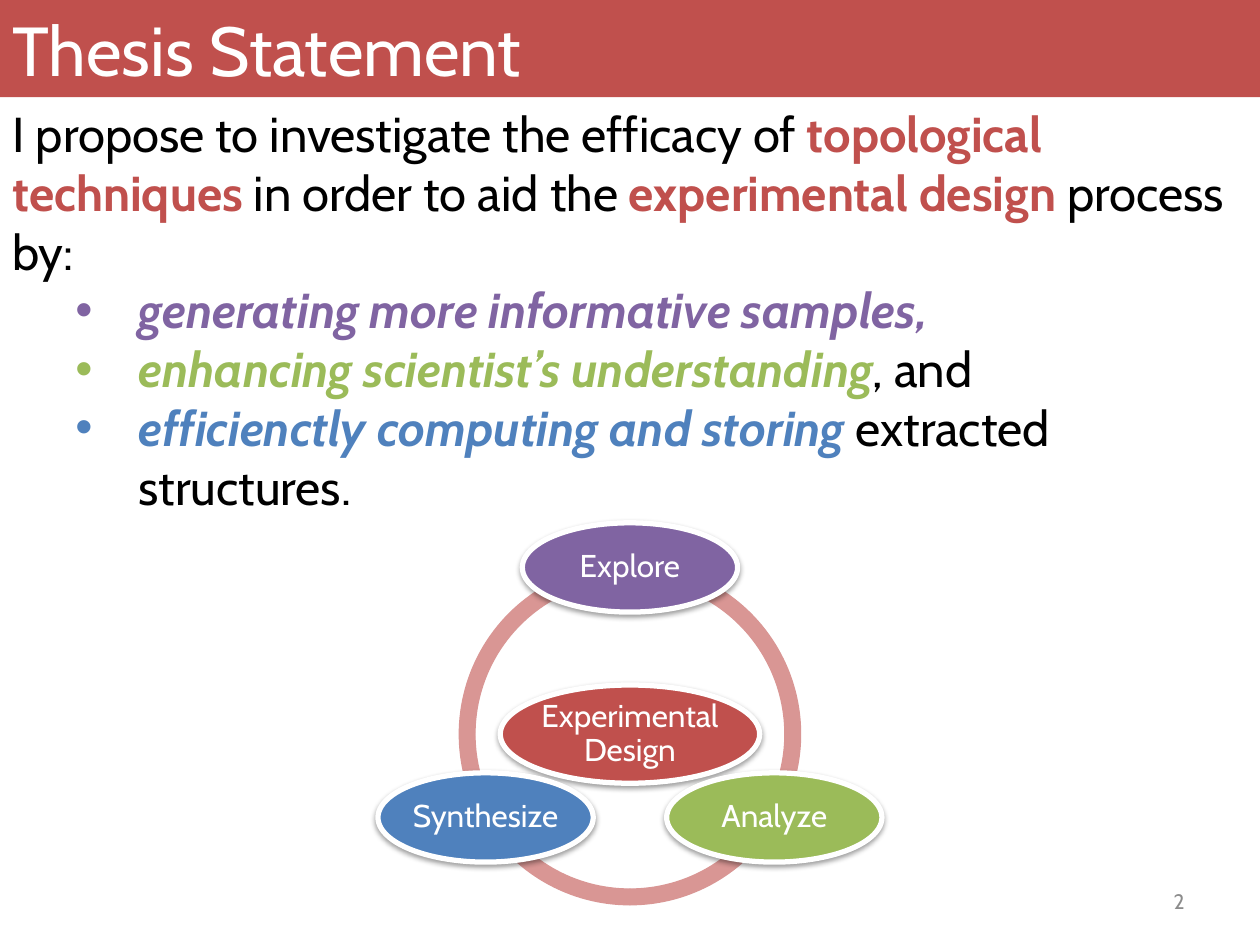
from dataclasses import dataclass
from math import cos, radians, sin

from lxml.etree import SubElement
from pptx import Presentation
from pptx.dml.color import RGBColor
from pptx.enum.shapes import MSO_SHAPE
from pptx.enum.text import MSO_ANCHOR, PP_ALIGN
from pptx.oxml.ns import qn
from pptx.util import Cm, Pt


@dataclass(frozen=True)
class Theme:
    font: str = "Cabin"
    white: str = "FFFFFF"
    black: str = "000000"
    gray: str = "8C8C8C"
    red: str = "C0504D"
    pink: str = "D99694"
    purple: str = "8064A2"
    green: str = "9BBB59"
    blue: str = "4F81BD"
    title_size: float = 39.6
    body_size: float = 28
    node_size: float = 18
    number_size: float = 12


THEME = Theme()

TITLE = "Thesis Statement"
PAGE_NUMBER = "2"
STATEMENT = [
    ("I propose to investigate the efficacy of ", THEME.black, False),
    ("topological techniques ", THEME.red, True),
    ("in order to aid the ", THEME.black, False),
    ("experimental design", THEME.red, True),
    (" process by:", THEME.black, False),
]
GOALS = [
    [("generating more informative samples,", THEME.purple, True)],
    [("enhancing scientist’s understanding", THEME.green, True),
     (", and", THEME.black, False)],
    [("efficienctly computing and storing ", THEME.blue, True),
     ("extracted structures.", THEME.black, False)],
]
HUB = ("Experimental Design", THEME.red)
STAGES = [("Explore", THEME.purple), ("Analyze", THEME.green), ("Synthesize", THEME.blue)]
ARCS = [(90, 162), (18, 90), (162, 18)]

SLIDE_WIDTH, SLIDE_HEIGHT = 25.4, 19.05
TITLE_HEIGHT = 1.96
CENTER_X, CENTER_Y = 12.7, 14.8
RING_SIZE, ORBIT = 6.88, 3.36
HUB_SIZE = (5.23, 1.98)
STAGE_SIZE = (4.34, 1.8)


def style(run, size, color, bold=False, italic=False):
    run.font.name = THEME.font
    run.font.size = Pt(size)
    run.font.color.rgb = RGBColor.from_string(color)
    run.font.bold = bold
    run.font.italic = italic


def add_runs(paragraph, parts, italic=False):
    for text, color, strong in parts:
        run = paragraph.add_run()
        run.text = text
        style(run, THEME.body_size, color, strong, strong and italic)


def add_bullet(paragraph):
    properties = paragraph._p.get_or_add_pPr()
    properties.set("marL", str(Cm(2.54)))
    properties.set("indent", str(-Cm(1.27)))
    SubElement(properties, qn("a:buFont"), typeface="Arial")
    SubElement(properties, qn("a:buChar"), char="•")


def add_shadow(shape):
    effects = shape._element.spPr.find(qn("a:effectLst"))
    shadow = SubElement(effects, qn("a:outerShdw"), blurRad=str(Pt(3.1)),
                        dist=str(Pt(1.6)), dir="5400000", rotWithShape="0")
    color = SubElement(shadow, qn("a:srgbClr"), val=THEME.black)
    SubElement(color, qn("a:alpha"), val="38000")


def add_filled(slide, preset, left, top, width, height, fill, line=None, line_width=0):
    shape = slide.shapes.add_shape(preset, Cm(left), Cm(top), Cm(width), Cm(height))
    shape.shadow.inherit = False
    shape.fill.solid()
    shape.fill.fore_color.rgb = RGBColor.from_string(fill)
    if line:
        shape.line.color.rgb = RGBColor.from_string(line)
        shape.line.width = Pt(line_width)
    else:
        shape.line.fill.background()
    return shape


def set_text(shape, text, size, color, alignment):
    frame = shape.text_frame
    frame.word_wrap = True
    frame.vertical_anchor = MSO_ANCHOR.MIDDLE
    frame.text = text
    paragraph = frame.paragraphs[0]
    paragraph.alignment = alignment
    style(paragraph.runs[0], size, color)
    return frame


def add_node(slide, label, color, center_x, center_y, size):
    width, height = size
    node = add_filled(slide, MSO_SHAPE.OVAL, center_x - width / 2, center_y - height / 2,
                      width, height, color, THEME.white, 3)
    add_shadow(node)
    frame = set_text(node, label, THEME.node_size, THEME.white, PP_ALIGN.CENTER)
    frame.margin_left = frame.margin_right = 0
    frame.margin_top = frame.margin_bottom = Cm(0.08)
    frame.paragraphs[0].line_spacing = 0.9


def add_header(slide):
    banner = add_filled(slide, MSO_SHAPE.RECTANGLE, 0, 0, SLIDE_WIDTH, TITLE_HEIGHT, THEME.red)
    set_text(banner, TITLE, THEME.title_size, THEME.white, PP_ALIGN.LEFT)
    number = slide.shapes.add_textbox(Cm(18.21), Cm(17.65), Cm(5.92), Cm(1.02))
    set_text(number, PAGE_NUMBER, THEME.number_size, THEME.gray, PP_ALIGN.RIGHT)


def add_statement(slide):
    box = slide.shapes.add_textbox(0, Cm(TITLE_HEIGHT), Cm(SLIDE_WIDTH), Cm(8.64))
    frame = box.text_frame
    frame.word_wrap = True
    add_runs(frame.paragraphs[0], STATEMENT)
    for goal in GOALS:
        paragraph = frame.add_paragraph()
        paragraph.level = 1
        add_bullet(paragraph)
        add_runs(paragraph, goal, italic=True)


def add_cycle(slide):
    for start, end in ARCS:
        arc = add_filled(slide, MSO_SHAPE.BLOCK_ARC, CENTER_X - RING_SIZE / 2,
                         CENTER_Y - RING_SIZE / 2, RING_SIZE, RING_SIZE,
                         THEME.pink, THEME.pink, 0.75)
        arc.adjustments[0] = start * 0.6
        arc.adjustments[1] = end * 0.6
        arc.adjustments[2] = 0.046
    add_node(slide, *HUB, CENTER_X, CENTER_Y, HUB_SIZE)
    for index, (label, color) in enumerate(STAGES):
        angle = radians(360 / len(STAGES) * index - 90)
        add_node(slide, label, color, CENTER_X + ORBIT * cos(angle),
                 CENTER_Y + ORBIT * sin(angle), STAGE_SIZE)


def main():
    presentation = Presentation()
    presentation.slide_width = Cm(SLIDE_WIDTH)
    presentation.slide_height = Cm(SLIDE_HEIGHT)
    slide = presentation.slides.add_slide(presentation.slide_layouts[6])
    add_header(slide)
    add_statement(slide)
    add_cycle(slide)
    presentation.save("out.pptx")


if __name__ == "__main__":
    main()
